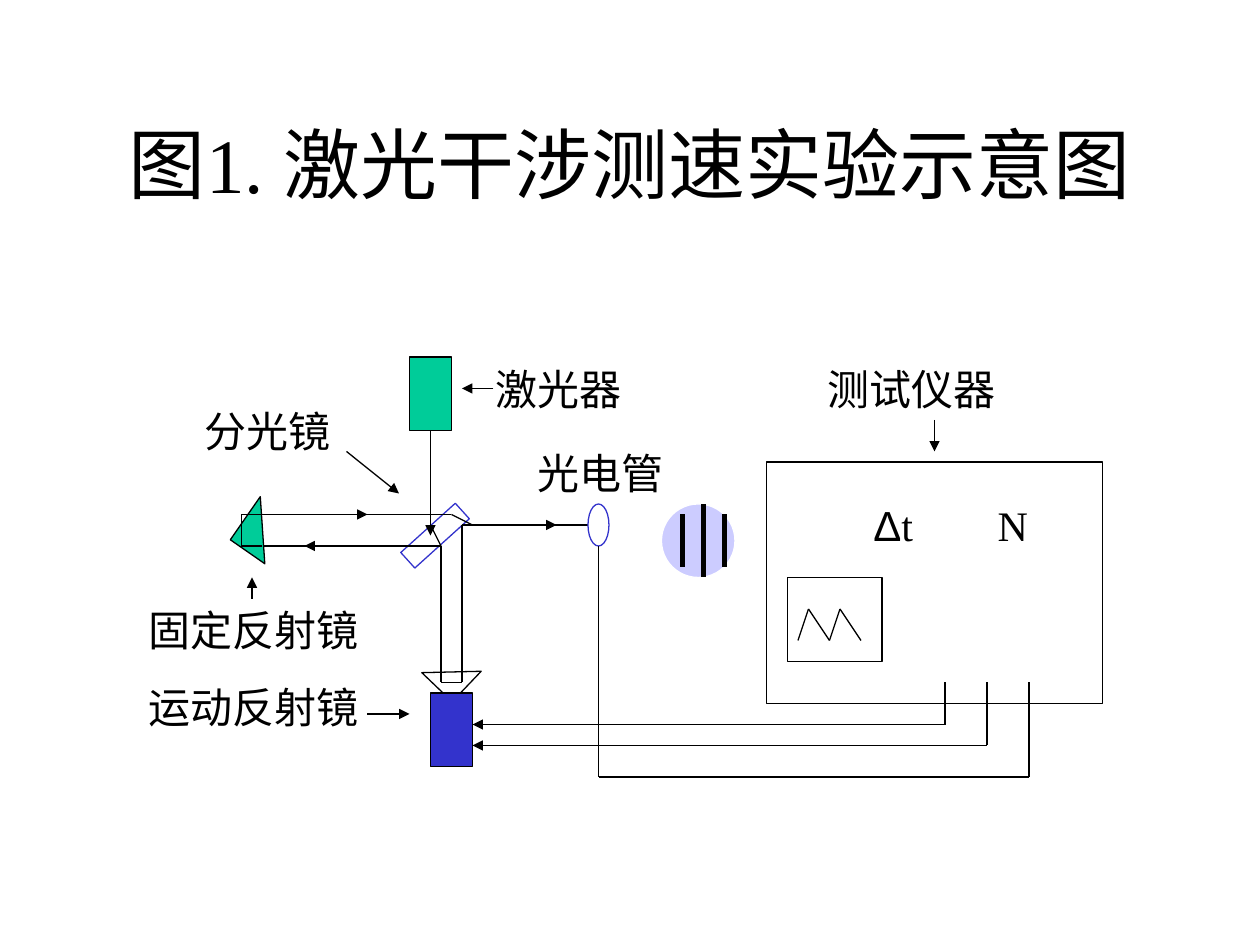
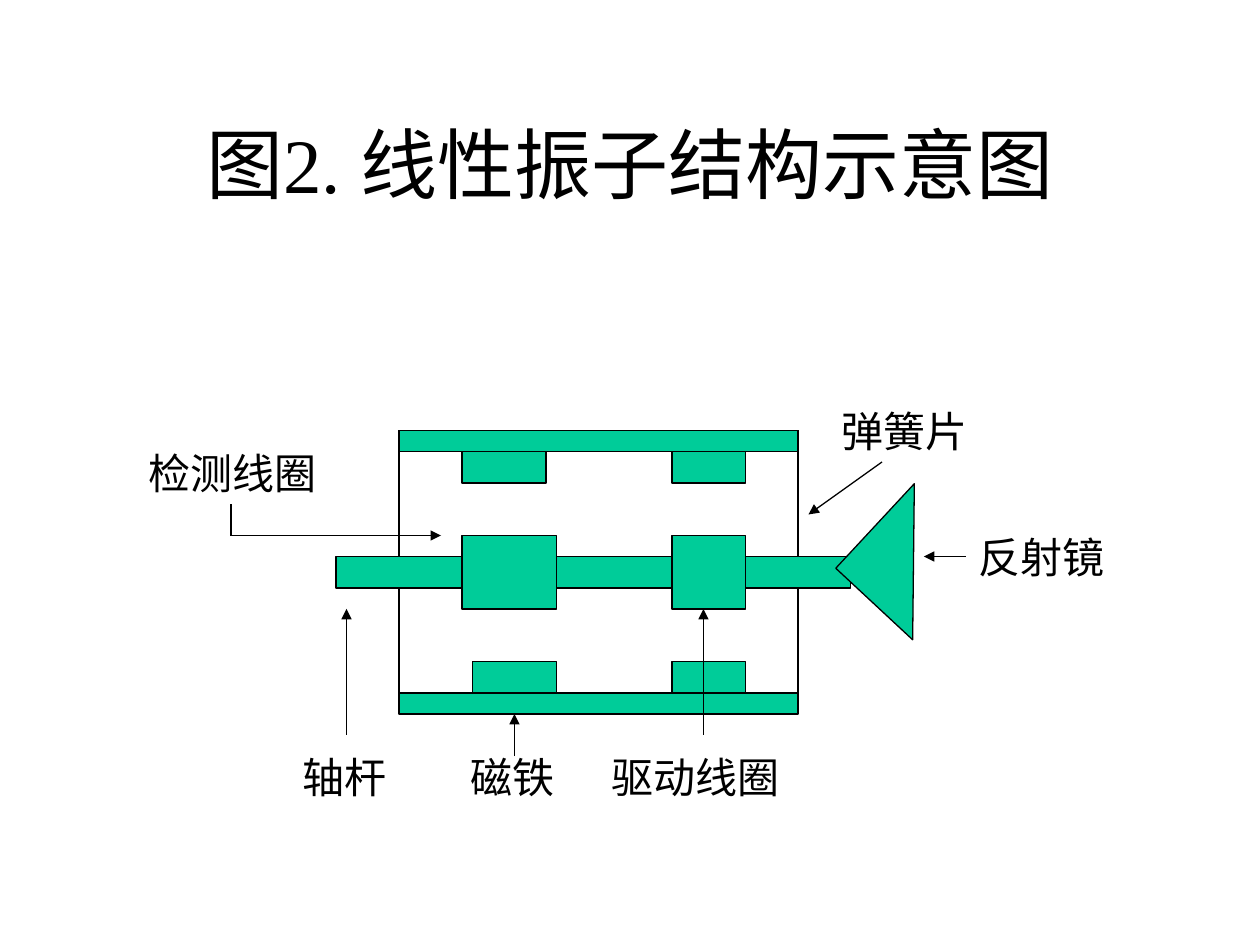
from dataclasses import dataclass
from itertools import pairwise
from typing import Any

from pptx import Presentation
from pptx.dml.color import RGBColor
from pptx.enum import shapes, text
from pptx.oxml import ns
from pptx.util import Pt
from lxml import etree


@dataclass(frozen=True)
class Theme:
    ink: str = "000000"
    paper: str = "FFFFFF"
    green: str = "00CC99"
    blue: str = "3333CC"
    lilac: str = "CCCCFF"
    font: str = "Times New Roman"
    symbol_font: str = "Arial"
    title_size: float = 44
    label_size: float = 24
    thin: float = 0.75
    thick: float = 3


THEME = Theme()
RECTANGLE = shapes.MSO_SHAPE.RECTANGLE
OVAL = shapes.MSO_SHAPE.OVAL
TRIANGLE = shapes.MSO_SHAPE.RIGHT_TRIANGLE


@dataclass(frozen=True)
class Region:
    slide: Any
    left: float
    top: float

    def place(self, x, y):
        return Pt(self.left + x), Pt(self.top + y)


def add_text(region, x, y, *paragraphs, width=156, height=36, size=THEME.label_size,
             align=text.PP_ALIGN.LEFT, anchor=text.MSO_ANCHOR.TOP, space_before=15):
    box = region.slide.shapes.add_textbox(*region.place(x, y), Pt(width), Pt(height))
    frame = box.text_frame
    frame.word_wrap = True
    frame.vertical_anchor = anchor
    for index, content in enumerate(paragraphs):
        paragraph = frame.add_paragraph() if index else frame.paragraphs[0]
        paragraph.alignment = align
        paragraph.space_before = Pt(space_before)
        runs = [(content, THEME.font)] if isinstance(content, str) else content
        for wording, font in runs:
            run = paragraph.add_run()
            run.text = wording
            run.font.name = font
            run.font.size = Pt(size)
            run.font.color.rgb = RGBColor.from_string(THEME.ink)


def add_block(region, x, y, width, height, kind=RECTANGLE, fill=THEME.green,
              line=THEME.ink, rotation=0):
    shape = region.slide.shapes.add_shape(kind, *region.place(x, y), Pt(width), Pt(height))
    shape.shadow.inherit = False
    shape.fill.solid()
    shape.fill.fore_color.rgb = RGBColor.from_string(fill)
    shape.line.color.rgb = RGBColor.from_string(line)
    shape.line.width = Pt(THEME.thin)
    shape.rotation = rotation


def add_route(region, *points, arrow=False, weight=THEME.thin):
    for start, end in pairwise(points):
        connector = region.slide.shapes.add_connector(
            shapes.MSO_CONNECTOR.STRAIGHT, *region.place(*start), *region.place(*end))
        connector.line.color.rgb = RGBColor.from_string(THEME.ink)
        connector.line.width = Pt(weight)
        properties = connector._element.spPr
        if arrow and end == points[-1]:
            outline = properties.find(ns.qn("a:ln"))
            etree.SubElement(outline, ns.qn("a:tailEnd"), type="triangle")
        etree.SubElement(properties, ns.qn("a:effectLst"))


def add_arrow(region, *points):
    add_route(region, *points, arrow=True)


def draw_title(region, wording):
    add_text(region, 0, 0, wording, width=612, height=90, size=THEME.title_size,
             align=text.PP_ALIGN.CENTER, anchor=text.MSO_ANCHOR.MIDDLE, space_before=0)


def draw_optics(region):
    add_block(region, 168, 168, 24, 24, TRIANGLE, THEME.paper, rotation=313.7)
    add_block(region, 168, 192, 24, 42, fill=THEME.blue)
    add_block(region, 164.6, 81.1, 12, 42, fill=THEME.paper, line=THEME.blue, rotation=47.9)

    add_arrow(region, (168, 36), (168, 102))
    add_route(region, (168, 96), (174, 108), (66, 108), (66, 90), (180, 90), (192, 96), (258, 96))
    add_arrow(region, (156, 108), (96, 108))
    add_arrow(region, (72, 90), (132, 90))
    add_arrow(region, (186, 96), (240, 96))
    add_route(region, (174, 108), (174, 186), (186, 186), (186, 96))

    add_block(region, 156, 0, 24, 42)
    add_block(region, 258, 84, 12, 24, OVAL, THEME.paper, THEME.blue)
    add_block(region, 60, 84, 24, 30, TRIANGLE, rotation=34.8)
    add_route(region, (72, 108), (60, 108), (60, 90), (72, 90))

    add_text(region, 198, 0, "激光器")
    add_text(region, 32, 24, "分光镜")
    add_text(region, 222, 48, "光电管")
    add_text(region, 0, 138, "固定反射镜", "运动反射镜", height=80)
    add_arrow(region, (204, 18), (186, 18))
    add_arrow(region, (120, 54), (150, 78))
    add_arrow(region, (66, 138), (66, 126))
    add_arrow(region, (132, 204), (156, 204))


def draw_instrument(region):
    add_text(region, 28, 0, "测试仪器")
    add_arrow(region, (96, 36), (96, 54))
    add_block(region, 0, 60, 192, 138, fill=THEME.paper)
    add_text(region, 54, 78, [("Δ", THEME.symbol_font), ("t", THEME.font)], width=54)
    add_text(region, 125, 78, "N", width=54)
    add_block(region, 12, 126, 54, 48, fill=THEME.paper)
    add_route(region, (18, 162), (24, 144), (36, 162), (42, 144), (54, 162))


def draw_wiring(region):
    add_arrow(region, (270, 78), (270, 102), (0, 102))
    add_arrow(region, (294, 78), (294, 114), (0, 114))
    add_route(region, (72, 0), (72, 132), (318, 132), (318, 78))


def draw_fringes(region):
    add_block(region, 0, 0, 42, 42, OVAL, THEME.lilac, THEME.paper)
    for x, inset in ((12, 6), (24, 0), (36, 6)):
        add_route(region, (x, inset), (x, 42 - inset), weight=THEME.thick)


def draw_oscillator(region):
    for y in (18, 168):
        add_block(region, 150, y, 228, 12)
    for x in (150, 378):
        add_route(region, (x, 18), (x, 168))
    add_block(region, 114, 90, 294, 18)
    add_block(region, 414, 60, 60, 66, TRIANGLE, rotation=42.9)
    for x, y, width in ((186, 30, 48), (306, 30, 42), (192, 150, 48), (306, 150, 42)):
        add_block(region, x, y, width, 18)
    for x, width in ((186, 54), (306, 42)):
        add_block(region, x, 78, width, 42)

    for x, y, wording in ((88, 198, "轴杆"), (184, 198, "磁铁"), (264.5, 198, "驱动线圈"),
                          (0, 24, "检测线圈"), (474, 72, "反射镜"), (396, 0, "弹簧片")):
        add_text(region, x, y, wording, width=120)
    add_arrow(region, (120, 192), (120, 120))
    add_arrow(region, (54, 60), (54, 78), (174, 78))
    add_arrow(region, (216, 204), (216, 180))
    add_arrow(region, (324, 192), (324, 120))
    add_arrow(region, (426, 36), (384, 66))
    add_arrow(region, (474, 90), (450, 90))


def add_slide(presentation, title):
    slide = presentation.slides.add_slide(presentation.slide_layouts[6])
    draw_title(Region(slide, 54, 48), title)
    return slide


def main():
    presentation = Presentation()
    presentation.slide_width, presentation.slide_height = Pt(720), Pt(540)

    setup = add_slide(presentation, "图1. 激光干涉测速实验示意图")
    draw_optics(Region(setup, 78, 204))
    draw_instrument(Region(setup, 438, 204))
    draw_wiring(Region(setup, 270, 312))
    draw_fringes(Region(setup, 378, 288))

    structure = add_slide(presentation, "图2. 线性振子结构示意图")
    draw_oscillator(Region(structure, 78, 228))

    presentation.save("out.pptx")


if __name__ == "__main__":
    main()
